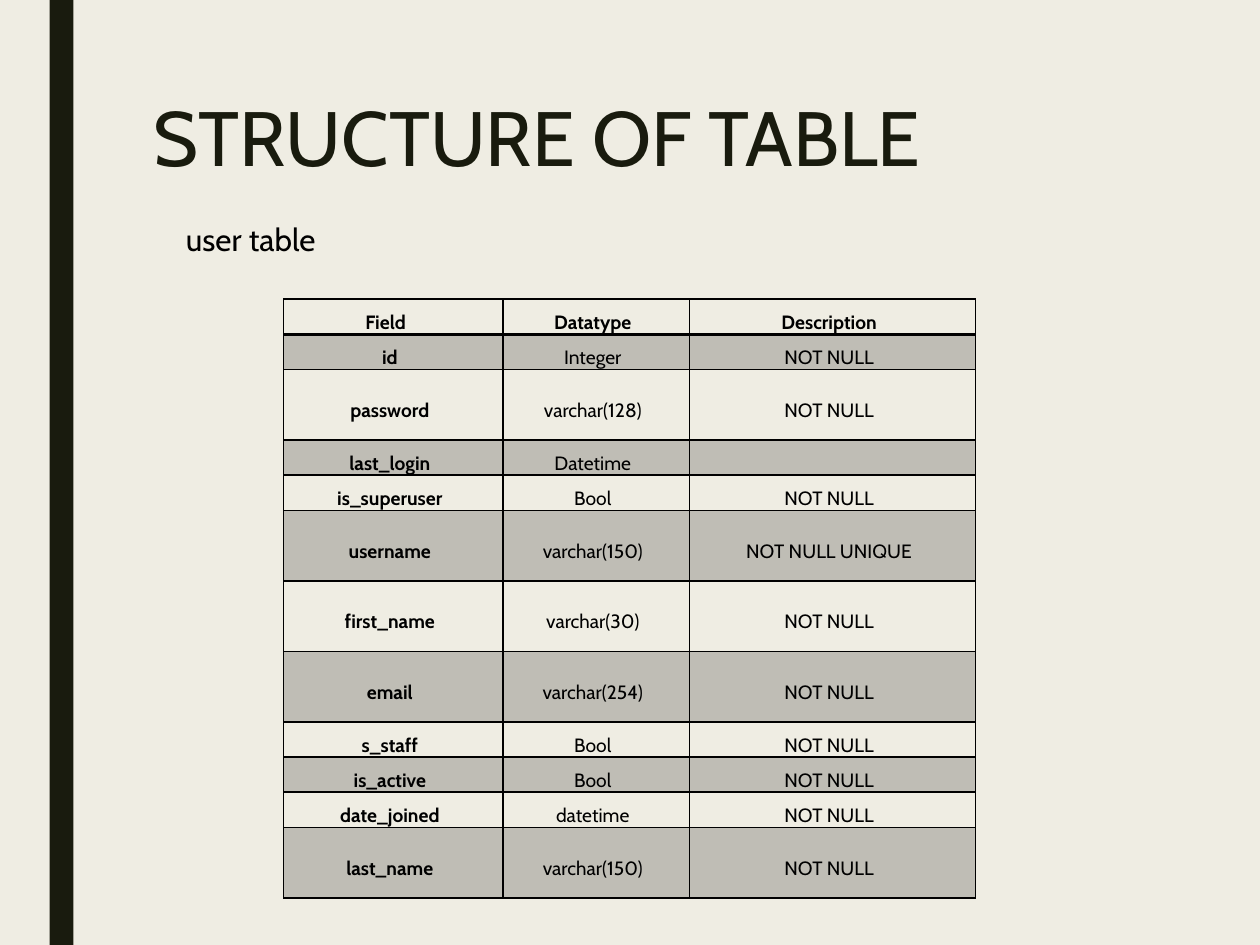
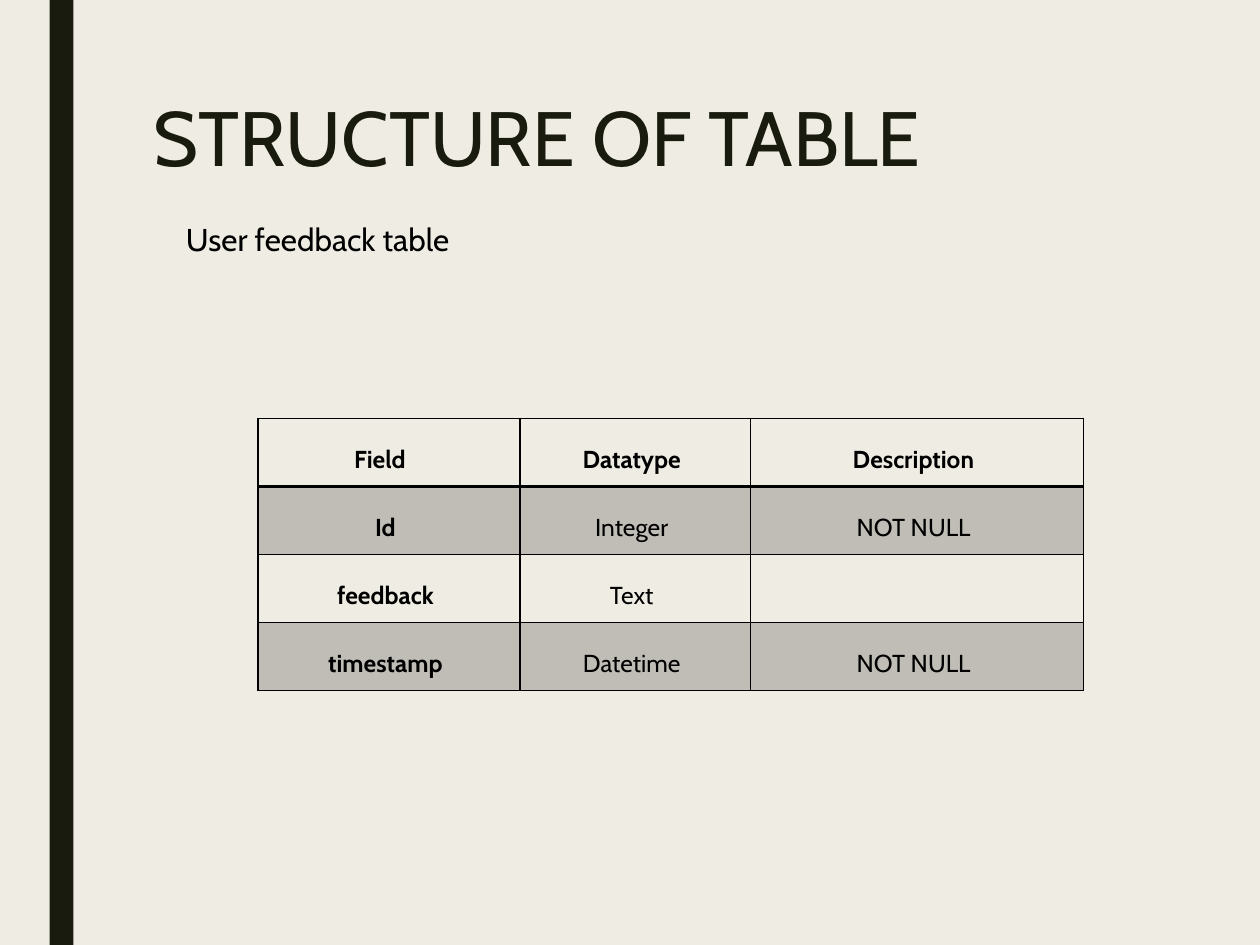
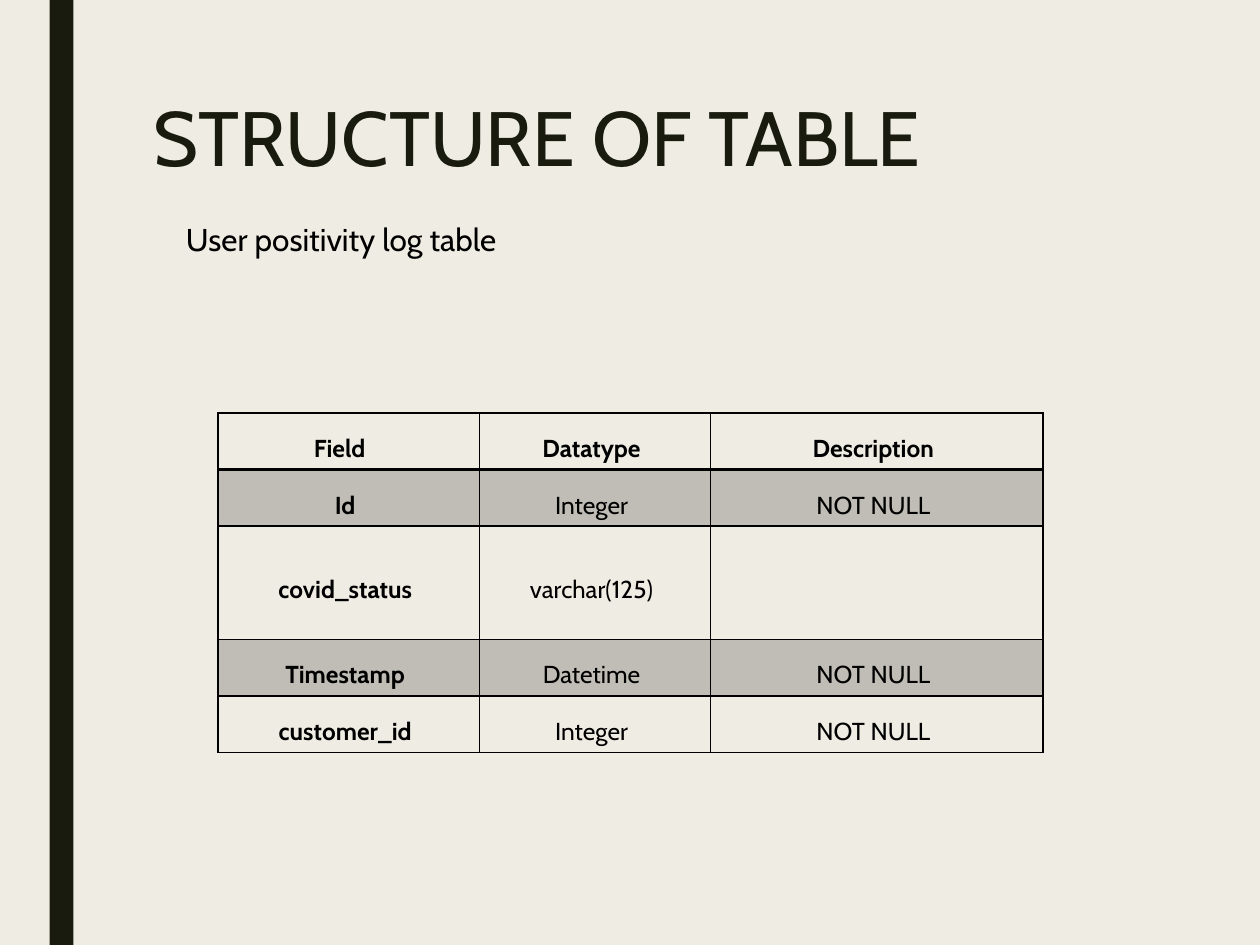
from dataclasses import dataclass

from lxml.etree import SubElement
from pptx import Presentation
from pptx.dml.color import RGBColor
from pptx.enum.shapes import MSO_SHAPE
from pptx.enum.text import MSO_ANCHOR, MSO_AUTO_SIZE, PP_ALIGN
from pptx.oxml.ns import qn
from pptx.presentation import Presentation as Deck
from pptx.slide import Slide
from pptx.table import _Cell as Cell
from pptx.text.text import _Paragraph as Paragraph
from pptx.util import Cm, Pt

FONT = "Cabin"
CREAM = RGBColor(0xEF, 0xED, 0xE3)
DARK_OLIVE = RGBColor(0x19, 0x1B, 0x0E)
BLACK = RGBColor(0x00, 0x00, 0x00)
BAND_ALPHA = 20000
THIN, THICK = Pt(1), Pt(2)
TITLE = "STRUCTURE OF TABLE"
HEADINGS = ("Field  ", "Datatype", "Description")


@dataclass(frozen=True)
class Schema:
    """One slide's database table; lengths are in centimetres."""
    caption: str
    caption_width: float
    left: float
    top: float
    column_widths: tuple[float, float, float]
    row_height: float
    side_margin: float
    text_size: int
    fields: tuple[tuple[str, str, str], ...]


SCHEMAS = (
    Schema("user table", 7.47, 5.72, 6.03, (4.42, 3.76, 5.77), 0.71, 0.15, 11, (
        ("id", "Integer", "NOT NULL"),
        ("password", "varchar(128)", "NOT NULL"),
        ("last_login", "Datetime", ""),
        ("is_superuser", "Bool", "NOT NULL"),
        ("username", "varchar(150)", "NOT NULL UNIQUE"),
        ("first_name", "varchar(30)", "NOT NULL"),
        ("email", "varchar(254)", "NOT NULL"),
        ("s_staff", "Bool", "NOT NULL"),
        ("is_active", "Bool", "NOT NULL"),
        ("date_joined", "datetime", "NOT NULL"),
        ("last_name", "varchar(150)", "NOT NULL"),
    )),
    Schema("User feedback table", 10.03, 5.2, 8.44, (5.28, 4.65, 6.71), 1.37, 0.18, 14, (
        ("Id", "Integer", "NOT NULL"),
        ("feedback", "Text", ""),
        ("timestamp", "Datetime", "NOT NULL"),
    )),
    Schema("User positivity log table", 10.03, 4.39, 8.33, (5.28, 4.65, 6.71), 1.14, 0.18, 14, (
        ("Id", "Integer", "NOT NULL"),
        ("covid_status", "varchar(125)", ""),
        ("Timestamp", "Datetime", "NOT NULL"),
        ("customer_id", "Integer", "NOT NULL"),
    )),
)


def style_runs(paragraph: Paragraph, size: int, color: RGBColor, bold: bool = False) -> None:
    for run in paragraph.runs:
        run.font.name = FONT
        run.font.size = Pt(size)
        run.font.bold = bold
        run.font.color.rgb = color


def add_titled_slide(deck: Deck) -> Slide:
    slide = deck.slides.add_slide(deck.slide_layouts.get_by_name("Title Only"))
    title = slide.shapes.title
    title.left, title.top = Cm(2.84), Cm(1.9)
    title.width, title.height = Cm(20.02), Cm(4.11)
    frame = title.text_frame
    frame.text = TITLE
    frame.vertical_anchor = MSO_ANCHOR.TOP
    frame.auto_size = MSO_AUTO_SIZE.NONE
    paragraph = frame.paragraphs[0]
    paragraph.alignment = PP_ALIGN.LEFT
    paragraph.line_spacing = 0.89
    style_runs(paragraph, 44, DARK_OLIVE)

    side_bar = slide.shapes.add_shape(
        MSO_SHAPE.RECTANGLE, Cm(1), 0, Cm(0.48), deck.slide_height)
    side_bar.shadow.inherit = False
    side_bar.fill.solid()
    side_bar.fill.fore_color.rgb = DARK_OLIVE
    side_bar.line.fill.background()
    return slide


def add_caption(slide: Slide, text: str, width: float) -> None:
    frame = slide.shapes.add_textbox(Cm(3.5), Cm(4.32), Cm(width), Cm(1.02)).text_frame
    frame.word_wrap = True
    frame.text = text
    style_runs(frame.paragraphs[0], 18, BLACK)


def set_borders(cell: Cell, top: int, bottom: int) -> None:
    properties = cell._tc.get_or_add_tcPr()
    for side, width in (("L", THIN), ("R", THIN), ("T", top), ("B", bottom)):
        line = SubElement(properties, qn(f"a:ln{side}"), w=str(width))
        fill = SubElement(line, qn("a:solidFill"))
        SubElement(fill, qn("a:srgbClr"), val=str(BLACK))


def fill_cell(cell: Cell, banded: bool) -> None:
    if not banded:
        cell.fill.background()
        return
    cell.fill.solid()
    cell.fill.fore_color.rgb = BLACK
    color = cell._tc.tcPr.find(f"{qn('a:solidFill')}/{qn('a:srgbClr')}")
    SubElement(color, qn("a:alpha"), val=str(BAND_ALPHA))


def write_cell(cell: Cell, text: str, schema: Schema, bold: bool) -> None:
    cell.vertical_anchor = MSO_ANCHOR.MIDDLE
    cell.margin_left = cell.margin_right = Cm(schema.side_margin)
    cell.margin_top = cell.margin_bottom = 0
    paragraph = cell.text_frame.paragraphs[0]
    if not text:
        # Keeps the empty cell from stretching its row
        SubElement(paragraph._p, qn("a:endParaRPr"), sz=str(schema.text_size * 100))
        return
    paragraph.text = text
    paragraph.alignment = PP_ALIGN.CENTER
    paragraph.line_spacing = 1.5
    paragraph.space_after = Pt(8)
    indents = paragraph._p.get_or_add_pPr()
    indents.set("marL", str(Cm(0.5)))
    indents.set("marR", str(Cm(0.64)))
    indents.set("indent", "0")
    style_runs(paragraph, schema.text_size, BLACK, bold)


def add_schema_table(slide: Slide, schema: Schema) -> None:
    """Draw the fields; a varchar row is twice as high as the others."""
    records = (HEADINGS, *schema.fields)
    heights = [schema.row_height * (2 if datatype.startswith("varchar") else 1)
               for _, datatype, _ in records]
    table = slide.shapes.add_table(
        len(records), len(HEADINGS), Cm(schema.left), Cm(schema.top),
        Cm(sum(schema.column_widths)), Cm(sum(heights))).table
    table.first_row = table.horz_banding = False
    for column, width in zip(table.columns, schema.column_widths):
        column.width = Cm(width)
    for row_index, (record, height) in enumerate(zip(records, heights)):
        table.rows[row_index].height = Cm(height)
        is_header = row_index == 0
        for column_index, text in enumerate(record):
            cell = table.cell(row_index, column_index)
            write_cell(cell, text, schema, bold=is_header or column_index == 0)
            set_borders(cell, top=THICK if row_index == 1 else THIN,
                        bottom=THICK if is_header else THIN)
            fill_cell(cell, banded=row_index % 2 == 1)


def main() -> None:
    deck = Presentation()
    deck.slide_width, deck.slide_height = Cm(25.4), Cm(19.05)
    background = deck.slide_master.background.fill
    background.solid()
    background.fore_color.rgb = CREAM
    for schema in SCHEMAS:
        slide = add_titled_slide(deck)
        add_caption(slide, schema.caption, schema.caption_width)
        add_schema_table(slide, schema)
    deck.save("out.pptx")


if __name__ == "__main__":
    main()
